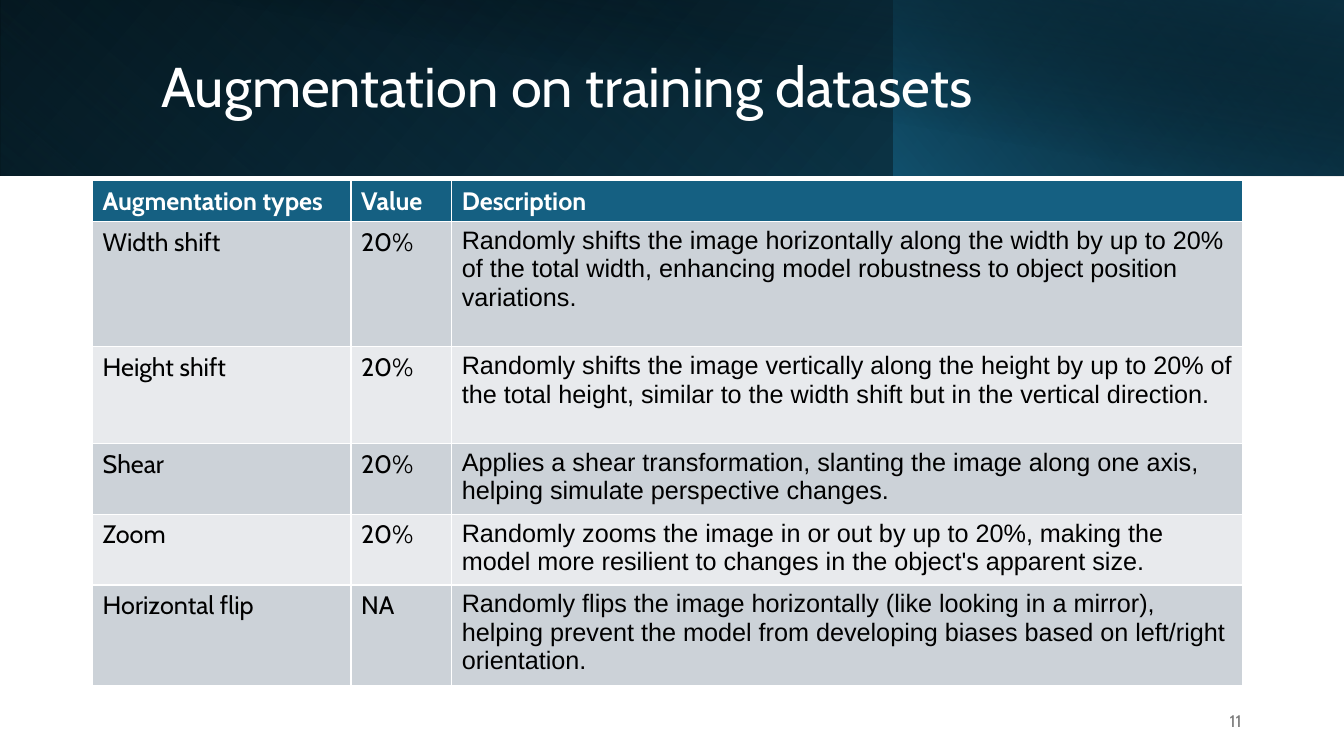
"""Build a slide with a gradient banner and a table of augmentations."""
import pptx
import pptx.dml.color
import pptx.enum.shapes
import pptx.enum.text
import pptx.util
from lxml import etree

Pt = pptx.util.Pt
RGB = pptx.dml.color.RGBColor
TEXT = pptx.enum.text
BLACK = RGB(0x00, 0x00, 0x00)
WHITE = RGB(0xFF, 0xFF, 0xFF)
GREY = RGB(0x79, 0x79, 0x79)
TEAL = RGB(0x15, 0x60, 0x82)
DEEP = RGB(0x10, 0x48, 0x62)
NAVY = RGB(0x0B, 0x30, 0x41)
DARK = RGB(0xCC, 0xD2, 0xD8)
LIGHT = RGB(0xE8, 0xEA, 0xED)
DRAW = "http://schemas.openxmlformats.org/drawingml/2006/main"

PANES = [
    (0, 960, 125.3, 0, True, 140, [(0, BLACK, 100), (100, DEEP, 100)]),
    (0, 639.4, 125.3, 180, True, 230, [(20, TEAL, 0), (100, NAVY, 55)]),
    (638.6, 321.4, 125.3, 0, True, 220, [(0, TEAL, 66), (100, BLACK, 30)]),
    (36, 924, 126, 0, False, 280, [(50, BLACK, 0), (99, NAVY, 52)]),
]
ROWS = [
    (29.5, "Augmentation types", "Value", "Description"),
    (89.3, "Width shift", "20%",
     "Randomly shifts the image horizontally along the width by up to 20% of "
     "the total width, enhancing model robustness to object position variations."),
    (69.3, "Height shift", "20%",
     "Randomly shifts the image vertically along the height by up to 20% of the "
     "total height, similar to the width shift but in the vertical direction."),
    (47.7, "Shear", "20%",
     "Applies a shear transformation, slanting the image along one axis, "
     "helping simulate perspective changes."),
    (47.4, "Zoom", "20%",
     "Randomly zooms the image in or out by up to 20%, making the model more "
     "resilient to changes in the object's apparent size."),
    (67.8, "Horizontal flip", "NA",
     "Randomly flips the image horizontally (like looking in a mirror), helping "
     "prevent the model from developing biases based on left/right orientation."),
]
COLS = [184.5, 72, 565]


def style(font, color, **form):
    font.color.rgb = color
    for key, value in form.items():
        setattr(font, key, value)


def banner(slide, left, top):
    for x, wide, high, turn, flip, angle, stops in PANES:
        pane = slide.shapes.add_shape(
            pptx.enum.shapes.MSO_SHAPE.RECTANGLE,
            Pt(left + x), Pt(top), Pt(wide), Pt(high))
        pane.shadow.inherit = False
        pane.line.fill.background()
        pane.rotation = turn
        if flip:
            pane._element.spPr.xfrm.set("flipH", "1")
        pane.fill.gradient()
        pane.fill.gradient_angle = 360 - angle
        for stop, (place, color, alpha) in zip(pane.fill.gradient_stops, stops):
            stop.position = place / 100
            stop.color.rgb = color
            if alpha < 100:
                tint = stop._gs.find(f"{{{DRAW}}}srgbClr")
                etree.SubElement(tint, f"{{{DRAW}}}alpha", val=str(alpha * 1000))


def label(slide, box, text, align, color, size, space=1.0):
    frame = slide.shapes.add_textbox(*map(Pt, box)).text_frame
    frame.word_wrap = True
    frame.vertical_anchor = TEXT.MSO_ANCHOR.MIDDLE
    para = frame.paragraphs[0]
    para.text = text
    para.alignment = align
    para.line_spacing = space
    style(para.font, color, size=Pt(size), name="Cabin")


def grid(slide, left, top):
    high = sum(row[0] for row in ROWS)
    table = slide.shapes.add_table(
        len(ROWS), len(COLS), Pt(left), Pt(top), Pt(sum(COLS)), Pt(high)).table
    for col, wide in zip(table.columns, COLS):
        col.width = Pt(wide)
    for r, (tall, *texts) in enumerate(ROWS):
        table.rows[r].height = Pt(tall)
        head = r == 0
        for c, text in enumerate(texts):
            cell = table.cell(r, c)
            cell.fill.solid()
            cell.fill.fore_color.rgb = TEAL if head else DARK if r % 2 else LIGHT
            cell.text = text
            style(cell.text_frame.paragraphs[0].font, WHITE if head else BLACK,
                  size=Pt(18), bold=head,
                  name="Arial" if c == 2 and not head else "Cabin")


def main():
    deck = pptx.Presentation()
    deck.slide_width, deck.slide_height = Pt(960), Pt(540)
    slide = deck.slides.add_slide(deck.slide_layouts[6])
    banner(slide, 0, 0)
    label(slide, (108, 23, 779, 81.4), "Augmentation on training datasets",
          TEXT.PP_ALIGN.LEFT, WHITE, 40, 0.9)
    label(slide, (678, 500.5, 216, 28.8), "11", TEXT.PP_ALIGN.RIGHT, GREY, 12)
    grid(slide, 66.2, 129)
    deck.save("out.pptx")


if __name__ == "__main__":
    main()
